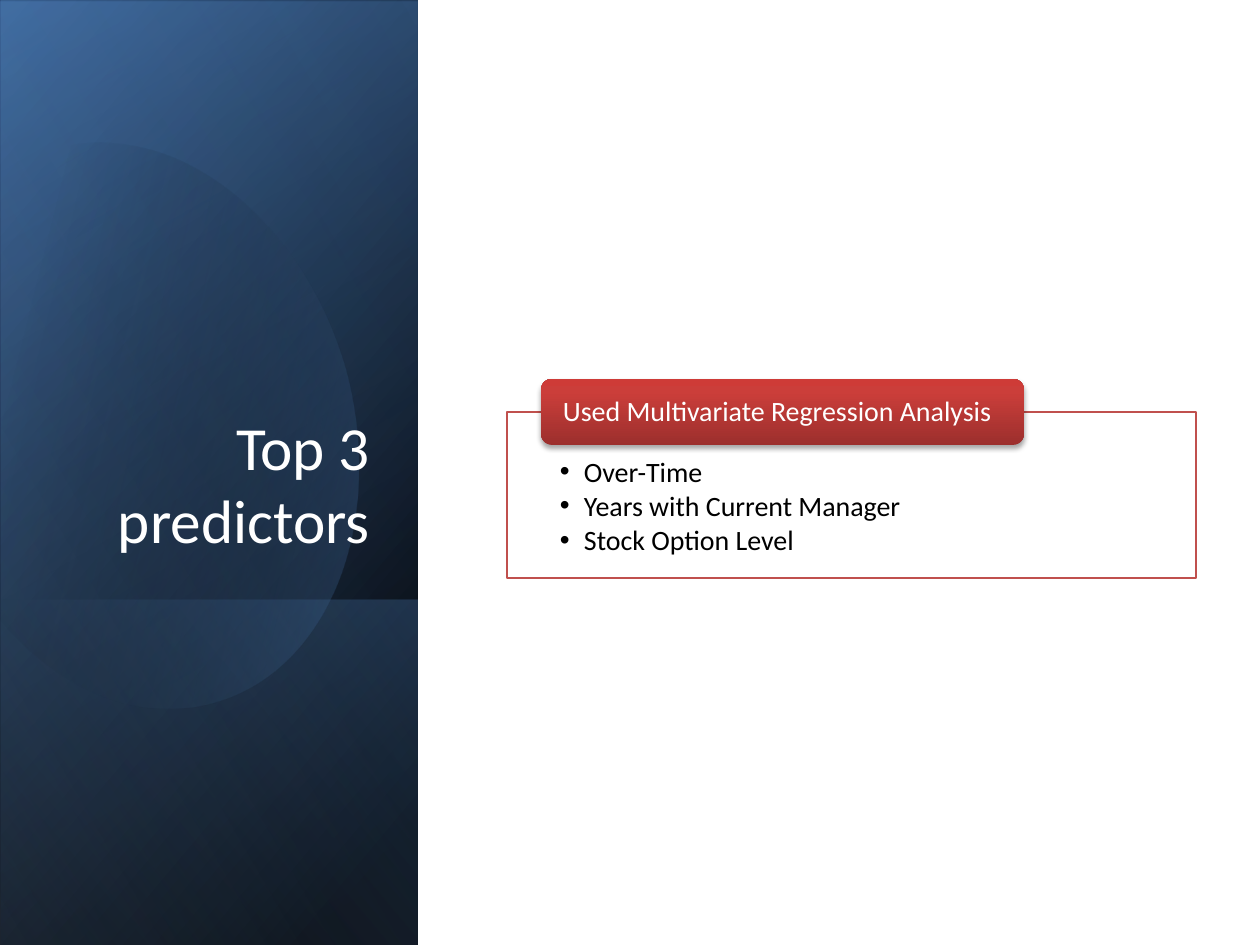
from dataclasses import dataclass
from math import cos, radians, sin
from typing import Any, NamedTuple

from lxml import etree
from pptx import Presentation
from pptx.dml.color import RGBColor
from pptx.enum.shapes import MSO_SHAPE
from pptx.enum.text import MSO_ANCHOR, PP_ALIGN
from pptx.oxml.ns import qn
from pptx.util import Pt

PIXEL = 914400 / 126
RECTANGLE, ROUNDED = MSO_SHAPE.RECTANGLE, MSO_SHAPE.ROUNDED_RECTANGLE
TOP, MIDDLE, BOTTOM = MSO_ANCHOR.TOP, MSO_ANCHOR.MIDDLE, MSO_ANCHOR.BOTTOM
LEFT, RIGHT = PP_ALIGN.LEFT, PP_ALIGN.RIGHT
FONT = "Calibri"
BULLET_INDENT = 24


class Box(NamedTuple):
    left: int
    top: int
    width: int
    height: int


class Stop(NamedTuple):
    position: int
    color: str
    opacity: int = 100


class Stroke(NamedTuple):
    tag: str
    points: tuple[tuple[int, int], ...]


@dataclass(frozen=True)
class Gradient:
    stops: tuple[Stop, ...]
    angle: int


@dataclass(frozen=True)
class Panel:
    box: Box
    gradient: Gradient


@dataclass(frozen=True)
class Passage:
    box: Box
    lines: tuple[str, ...]
    size: int
    color: str
    anchor: Any
    insets: tuple[int, int, int, int]
    paragraph: dict[str, Any]
    bulleted: bool = False


def px(length: float) -> int:
    return round(length * PIXEL)


def rgb(color: str) -> RGBColor:
    return RGBColor.from_string(color)


def apply(target: Any, values: dict[str, Any]) -> None:
    for attribute, value in values.items():
        setattr(target, attribute, value)


def add_child(parent: Any, tag: str, **attributes: Any) -> Any:
    return etree.SubElement(parent, qn(tag), {k: str(v) for k, v in attributes.items()})


def add_color(parent: Any, color: str, opacity: int) -> None:
    code = add_child(parent, "a:srgbClr", val=color)
    if opacity < 100:
        add_child(code, "a:alpha", val=opacity * 1000)


def clear(parent: Any) -> None:
    for child in list(parent):
        parent.remove(child)


def paint(shape: Any, gradient: Gradient) -> None:
    shape.shadow.inherit = False
    shape.line.fill.background()
    shape.fill.gradient()
    grad = shape._element.spPr.find(qn("a:gradFill"))
    clear(grad)
    stops = add_child(grad, "a:gsLst")
    for stop in gradient.stops:
        add_color(add_child(stops, "a:gs", pos=stop.position * 1000), stop.color, stop.opacity)
    add_child(grad, "a:lin", ang=gradient.angle * 60000, scaled=0)


def add_block(shapes: Any, kind: Any, box: Box) -> Any:
    return shapes.add_shape(kind, *map(px, box))


def draw_panel(shapes: Any, panel: Panel) -> None:
    block = add_block(shapes, RECTANGLE, panel.box)
    block.rotation = 90
    block._element.spPr.find(qn("a:xfrm")).set("flipH", "1")
    paint(block, panel.gradient)


def draw_oval(shapes: Any, box: Box, turn: float, strokes: tuple[Stroke, ...],
              gradient: Gradient) -> None:
    left, top, width, height = map(px, box)
    builder = shapes.build_freeform(left, top)
    builder.add_line_segments([(left + width, top), (left + width, top + height),
                               (left, top + height)])
    oval = builder.convert_to_shape()
    outline = next(oval._element.iter(qn("a:path")))
    clear(outline)
    cosine, sine = cos(radians(turn)), sin(radians(turn))
    for stroke in strokes:
        step = add_child(outline, stroke.tag)
        for x, y in stroke.points:
            dx = x - box.left - box.width / 2
            dy = y - box.top - box.height / 2
            add_child(step, "a:pt", x=px(box.width / 2 + dx * cosine + dy * sine),
                      y=px(box.height / 2 - dx * sine + dy * cosine))
    add_child(outline, "a:close")
    oval.rotation = turn
    paint(oval, gradient)


def add_bullet(paragraph: Any) -> None:
    properties = paragraph._p.get_or_add_pPr()
    properties.set("marL", str(px(BULLET_INDENT)))
    properties.set("indent", str(-px(BULLET_INDENT)))
    add_child(properties, "a:buFont", typeface="Arial")
    add_child(properties, "a:buChar", char="•")


def write(shapes: Any, passage: Passage) -> None:
    frame = shapes.add_textbox(*map(px, passage.box)).text_frame
    sides = ("margin_left", "margin_top", "margin_right", "margin_bottom")
    apply(frame, {"word_wrap": True, "vertical_anchor": passage.anchor,
                  **dict(zip(sides, map(px, passage.insets)))})
    for index, line in enumerate(passage.lines):
        paragraph = frame.add_paragraph() if index else frame.paragraphs[0]
        apply(paragraph, passage.paragraph)
        if passage.bulleted:
            add_bullet(paragraph)
        run = paragraph.add_run()
        run.text = line
        apply(run.font, {"name": FONT, "size": Pt(passage.size)})
        run.font.color.rgb = rgb(passage.color)


def drop_shadow(shape: Any) -> None:
    effects = shape._element.spPr.find(qn("a:effectLst"))
    shadow = add_child(effects, "a:outerShdw", blurRad=Pt(3.1), dist=Pt(1.8),
                       dir=90 * 60000, rotWithShape=0)
    add_color(shadow, "000000", 35)


SIDEBAR = Box(-263, 264, 945, 417)
BACK_PANELS = (
    Panel(SIDEBAR, Gradient((Stop(8, "000000"), Stop(100, "376092")), 50)),
    Panel(Box(-263, 266, 945, 417),
          Gradient((Stop(0, "000000", 0), Stop(99, "4F81BD", 46)), 30)),
    Panel(Box(37, 564, 345, 417),
          Gradient((Stop(2, "4F81BD", 29), Stop(100, "000000", 30)), 130)),
)
FRONT_PANEL = Panel(SIDEBAR, Gradient((Stop(0, "000000", 0), Stop(99, "95B3D7", 11)), 120))
MOVE, LINE, CURVE = "a:moveTo", "a:lnTo", "a:cubicBezTo"
OVAL_BOX = Box(-52, 134, 403, 576)
OVAL_STROKES = (
    Stroke(MOVE, ((121, 144),)),
    Stroke(CURVE, ((215, 154), (307, 242), (344, 365))),
    Stroke(CURVE, ((387, 519), (330, 669), (215, 702))),
    Stroke(CURVE, ((144, 723), (67, 693), (9, 630))),
    Stroke(LINE, ((-4, 615),)),
    Stroke(LINE, ((-31, 209),)),
    Stroke(LINE, ((-19, 194),)),
    Stroke(CURVE, ((3, 173), (28, 158), (57, 149))),
    Stroke(CURVE, ((78, 142), (100, 141), (121, 144))),
)
OVAL_GRADIENT = Gradient((Stop(29, "000000", 0), Stop(100, "4F81BD", 43)), 30)
HEADER_GRADIENT = Gradient((Stop(0, "9C2F2D"), Stop(80, "CB3E3A"), Stop(100, "CE3B37")), 270)
PREDICTOR_BOX = Box(507, 412, 689, 166)
HEADER_BOX = Box(541, 379, 483, 66)

TITLE = Passage(Box(60, 232, 323, 330), ("Top 3 predictors",), 35, "FFFFFF", BOTTOM,
                (13, 6, 13, 6), {"alignment": RIGHT})
PREDICTORS = Passage(PREDICTOR_BOX,
                     ("Over-Time", "Years with Current Manager", "Stock Option Level"),
                     16, "000000", TOP, (53, 46, 53, 15),
                     {"alignment": LEFT, "line_spacing": 0.9, "space_after": Pt(2.2)}, True)
METHOD = Passage(Box(544, 383, 476, 59), ("Used Multivariate Regression Analysis",),
                 16, "FFFFFF", MIDDLE, (19, 0, 18, 0),
                 {"alignment": LEFT, "line_spacing": 0.9})


def main() -> None:
    deck = Presentation()
    apply(deck, {"slide_width": px(1260), "slide_height": px(945)})
    shapes = deck.slides.add_slide(deck.slide_layouts[6]).shapes

    for panel in BACK_PANELS:
        draw_panel(shapes, panel)
    draw_oval(shapes, OVAL_BOX, 343.9, OVAL_STROKES, OVAL_GRADIENT)
    draw_panel(shapes, FRONT_PANEL)
    write(shapes, TITLE)

    predictor_frame = add_block(shapes, RECTANGLE, PREDICTOR_BOX)
    predictor_frame.shadow.inherit = False
    predictor_frame.fill.solid()
    predictor_frame.fill.fore_color.rgb = rgb("FFFFFF")
    predictor_frame.line.color.rgb = rgb("C0504D")
    predictor_frame.line.width = Pt(0.75)
    write(shapes, PREDICTORS)

    method_banner = add_block(shapes, ROUNDED, HEADER_BOX)
    paint(method_banner, HEADER_GRADIENT)
    drop_shadow(method_banner)
    write(shapes, METHOD)

    deck.save("out.pptx")


main()
